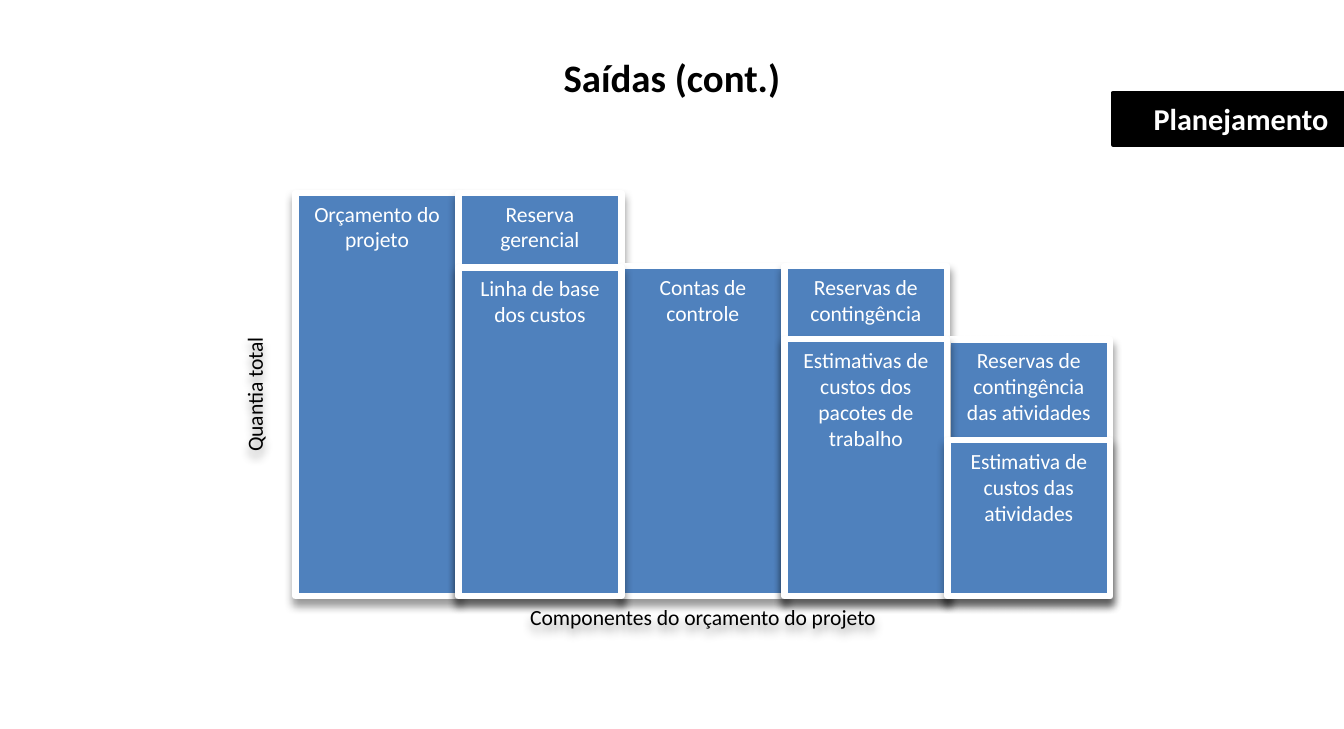
"""Build the project budget components slide."""
from lxml.etree import SubElement
from pptx import Presentation
from pptx.dml.color import RGBColor
from pptx.enum.shapes import MSO_SHAPE
from pptx.enum.text import MSO_ANCHOR, PP_ALIGN
from pptx.oxml.ns import qn
from pptx.util import Cm, Pt

BLACK = RGBColor(0, 0, 0)
WHITE = RGBColor(255, 255, 255)
BLUE = RGBColor(0x4F, 0x81, 0xBD)
FONT = "Calibri"
COLUMNS = 5
LABEL_HEIGHT = Cm(0.84)

COMPONENTS = [
    ("Orçamento do projeto", 0, Cm(0)),
    ("Reserva gerencial", 1, Cm(0)),
    ("Contas de controle", 2, Cm(1.2)),
    ("Reservas de contingência", 3, Cm(1.2)),
    ("Reservas de contingência das atividades", 4, Cm(2.4)),
    ("Linha de base dos custos", 1, Cm(1.22)),
    ("Estimativas de custos dos pacotes de trabalho", 3, Cm(2.39)),
    ("Estimativa de custos das atividades", 4, Cm(4.04)),
]


def write(shape, text, size, color, bold=False, align=PP_ALIGN.CENTER, anchor=MSO_ANCHOR.TOP):
    """Write one styled run into a shape."""
    frame = shape.text_frame
    frame.word_wrap = True
    frame.vertical_anchor = anchor
    paragraph = frame.paragraphs[0]
    paragraph.alignment = align
    run = paragraph.add_run()
    run.text = text
    run.font.name = FONT
    run.font.size = Pt(size)
    run.font.bold = bold
    run.font.color.rgb = color


def add_block(shapes, left, top, width, height, fill, line, line_width):
    """Add a filled rectangle without a shadow."""
    block = shapes.add_shape(MSO_SHAPE.RECTANGLE, left, top, width, height)
    block.fill.solid()
    block.fill.fore_color.rgb = fill
    block.line.color.rgb = line
    block.line.width = Pt(line_width)
    block.shadow.inherit = False
    return block


def cast_shadow(shape):
    """Give a shape a soft shadow straight below it."""
    shape.shadow.inherit = False
    effects = shape.element.spPr.find(qn("a:effectLst"))
    shadow = SubElement(effects, qn("a:outerShdw"), blurRad=str(Pt(4)), dist=str(Pt(3)),
                        dir="5400000", rotWithShape="0")
    color = SubElement(shadow, qn("a:srgbClr"), val=str(BLACK))
    SubElement(color, qn("a:alpha"), val="40000")


def add_title(slide, left, top, width, height):
    """Add the centred slide title."""
    title = slide.shapes.add_textbox(left, top, width, height)
    write(title, "Saídas (cont.)", 18, BLACK, bold=True)


def add_budget(slide, left, top, width, height):
    """Add the stepped budget blocks and their two axis labels."""
    shapes = slide.shapes.add_group_shape().shapes
    column_width = width // COLUMNS
    for text, column, drop in COMPONENTS:
        block = add_block(shapes, left + column * column_width, top + drop,
                          column_width, height - drop, BLUE, WHITE, 3)
        cast_shadow(block)
        write(block, text, 10, WHITE)

    amount = shapes.add_textbox(left - Cm(0.59) - height // 2,
                                top + (height - LABEL_HEIGHT) // 2, height, LABEL_HEIGHT)
    amount.rotation = 270
    components = shapes.add_textbox(left, top + height, width, LABEL_HEIGHT)
    for label, text in ((amount, "Quantia total"),
                        (components, "Componentes do orçamento do projeto")):
        write(label, text, 10, BLACK)
        cast_shadow(label)


def add_phase(slide, left, top, width, height):
    """Add the phase banner at the right edge."""
    banner = add_block(slide.shapes, left, top, width, height, BLACK, BLACK, 2)
    write(banner, "Planejamento", 14, WHITE, bold=True,
          align=PP_ALIGN.RIGHT, anchor=MSO_ANCHOR.MIDDLE)


def main():
    """Build and save the presentation."""
    deck = Presentation()
    deck.slide_width, deck.slide_height = Cm(21.97), Cm(11.91)
    slide = deck.slides.add_slide(deck.slide_layouts[6])
    add_title(slide, 0, Cm(0.76), deck.slide_width, Cm(1.02))
    add_budget(slide, Cm(4.83), Cm(3.15), Cm(13.32), Cm(6.59))
    add_phase(slide, Cm(18.19), Cm(1.52), Cm(3.78), Cm(0.84))
    deck.save("out.pptx")


if __name__ == "__main__":
    main()
